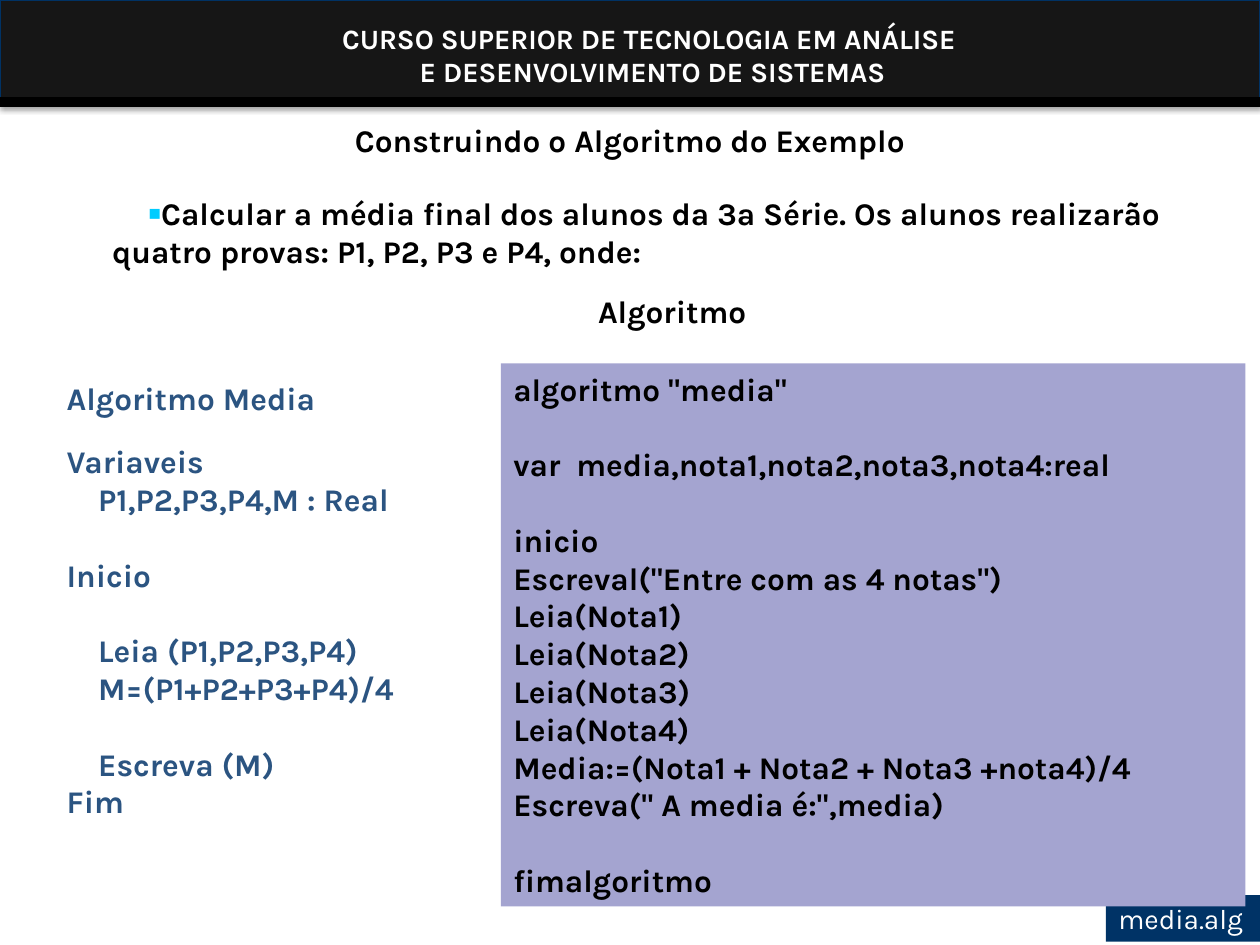
from lxml.etree import SubElement
from pptx import Presentation
from pptx.dml.color import RGBColor
from pptx.enum.shapes import MSO_CONNECTOR, MSO_SHAPE
from pptx.enum.text import MSO_ANCHOR, MSO_AUTO_SIZE, PP_ALIGN
from pptx.oxml.ns import qn
from pptx.util import Pt

WHITE = RGBColor(0xFF, 0xFF, 0xFF)
BLACK = RGBColor(0x00, 0x00, 0x00)
CHARCOAL = RGBColor(0x16, 0x16, 0x16)
NAVY = RGBColor(0x00, 0x32, 0x64)
LABEL_BLUE = RGBColor(0x00, 0x33, 0x66)
TEXT_BLUE = RGBColor(0x2B, 0x54, 0x81)
LILAC = RGBColor(0xA4, 0xA4, 0xD0)
BULLET_CYAN = RGBColor(0x00, 0xCC, 0xFF)
BLANK_LINE = 21.6


def write_lines(shape, lines, color, size=18, bold=True, align=PP_ALIGN.LEFT):
    frame = shape.text_frame
    frame.word_wrap = True
    frame.auto_size = MSO_AUTO_SIZE.NONE
    frame.vertical_anchor = MSO_ANCHOR.TOP
    for index, (text, indent, gap) in enumerate(lines):
        paragraph = frame.paragraphs[0] if index == 0 else frame.add_paragraph()
        paragraph.text = text
        paragraph.alignment = align
        paragraph.space_before = Pt(gap)
        if indent:
            paragraph._p.get_or_add_pPr().set("marL", str(Pt(indent)))
        paragraph.font.name = "Karla"
        paragraph.font.size = Pt(size)
        paragraph.font.bold = bold
        paragraph.font.color.rgb = color


def add_box(left, top, width, height, fill):
    shape = slide.shapes.add_shape(
        MSO_SHAPE.RECTANGLE, Pt(left), Pt(top), Pt(width), Pt(height))
    shape.shadow.inherit = False
    shape.fill.solid()
    shape.fill.fore_color.rgb = fill
    shape.line.fill.background()
    return shape


presentation = Presentation()
presentation.slide_width = Pt(720)
presentation.slide_height = Pt(540)
slide = presentation.slides.add_slide(presentation.slide_layouts[1])

band = add_box(0, 0, 720, 60.5, CHARCOAL)
band.line.color.rgb = NAVY
band.line.width = Pt(0.75)
effects = band._element.spPr.find(qn("a:effectLst"))
shadow = SubElement(effects, qn("a:outerShdw"), blurRad=str(Pt(3.1)),
                    dist=str(Pt(1.8)), dir="5400000", rotWithShape="0")
shadow_color = SubElement(shadow, qn("a:srgbClr"), val=str(BLACK))
SubElement(shadow_color, qn("a:alpha"), val="35000")

course = slide.shapes.add_textbox(Pt(93.6), Pt(8.6), Pt(558.7), Pt(46))
write_lines(course, [("CURSO SUPERIOR DE TECNOLOGIA EM ANÁLISE ", 0, 0),
                     ("E DESENVOLVIMENTO DE SISTEMAS", 0, 0)],
            WHITE, size=16, align=PP_ALIGN.CENTER)

rule = slide.shapes.add_connector(
    MSO_CONNECTOR.STRAIGHT, Pt(0), Pt(58.3), Pt(720), Pt(58.3))
rule.line.color.rgb = BLACK
rule.line.width = Pt(6)
SubElement(rule._element.spPr, qn("a:effectLst"))

title = slide.shapes.title
title.left, title.top, title.width, title.height = Pt(0), Pt(65.5), Pt(720), Pt(29)
write_lines(title, [("Construindo o Algoritmo do Exemplo", 0, 0)],
            BLACK, align=PP_ALIGN.CENTER)

body = slide.placeholders[1]
body.left, body.top, body.width, body.height = Pt(42.5), Pt(107.3), Pt(648), Pt(96)
write_lines(body, [
    ("Calcular a média final dos alunos da 3ª Série. Os alunos realizarão "
     "quatro provas: P1, P2, P3 e P4, onde:", 14.4, 0),
    ("Algoritmo", 14.4, 12.6),
], BLACK)
statement, heading = body.text_frame.paragraphs
heading.alignment = PP_ALIGN.CENTER
for paragraph in (statement, heading):
    properties = paragraph._p.get_or_add_pPr()
    properties.set("indent", str(Pt(20.9)))
    defaults = properties.find(qn("a:defRPr"))
    if paragraph is heading:
        defaults.addprevious(SubElement(properties, qn("a:buNone")))
    else:
        bullet_color = SubElement(properties, qn("a:buClr"))
        SubElement(bullet_color, qn("a:srgbClr"), val=str(BULLET_CYAN))
        for part in (bullet_color,
                     SubElement(properties, qn("a:buSzPct"), val="65000"),
                     SubElement(properties, qn("a:buFont"), typeface="Arial"),
                     SubElement(properties, qn("a:buChar"), char="■")):
            defaults.addprevious(part)

pseudocode = slide.shapes.add_textbox(Pt(31), Pt(213.2), Pt(278), Pt(259))
write_lines(pseudocode, [
    ("Algoritmo Media", 0, 0),
    ("Variaveis", 0, 14.4),
    ("P1,P2,P3,P4,M : Real", 18, 0),
    ("Inicio", 0, BLANK_LINE),
    ("Leia (P1,P2,P3,P4)", 18, BLANK_LINE),
    ("M=(P1+P2+P3+P4)/4", 18, 0),
    ("Escreva (M)", 18, BLANK_LINE),
    ("Fim", 0, 0),
], TEXT_BLUE)

file_label = add_box(632, 511.5, 88, 26.6, LABEL_BLUE)
write_lines(file_label, [("media.alg", 0, 0)], WHITE, size=16, bold=False)
file_label.text_frame.word_wrap = False

program = add_box(286.2, 207.6, 425.5, 310.3, LILAC)
write_lines(program, [
    ('algoritmo "media"', 0, 0),
    ("var  media,nota1,nota2,nota3,nota4:real", 0, BLANK_LINE),
    ("inicio", 0, BLANK_LINE),
    ('Escreval("Entre com as 4 notas")', 0, 0),
    *[(f"Leia(Nota{number})", 0, 0) for number in range(1, 5)],
    ("Media:=(Nota1 + Nota2 + Nota3 +nota4)/4", 0, 0),
    ('Escreva(" A media é:",media)', 0, 0),
    ("fimalgoritmo", 0, BLANK_LINE),
], BLACK)

presentation.save("out.pptx")
